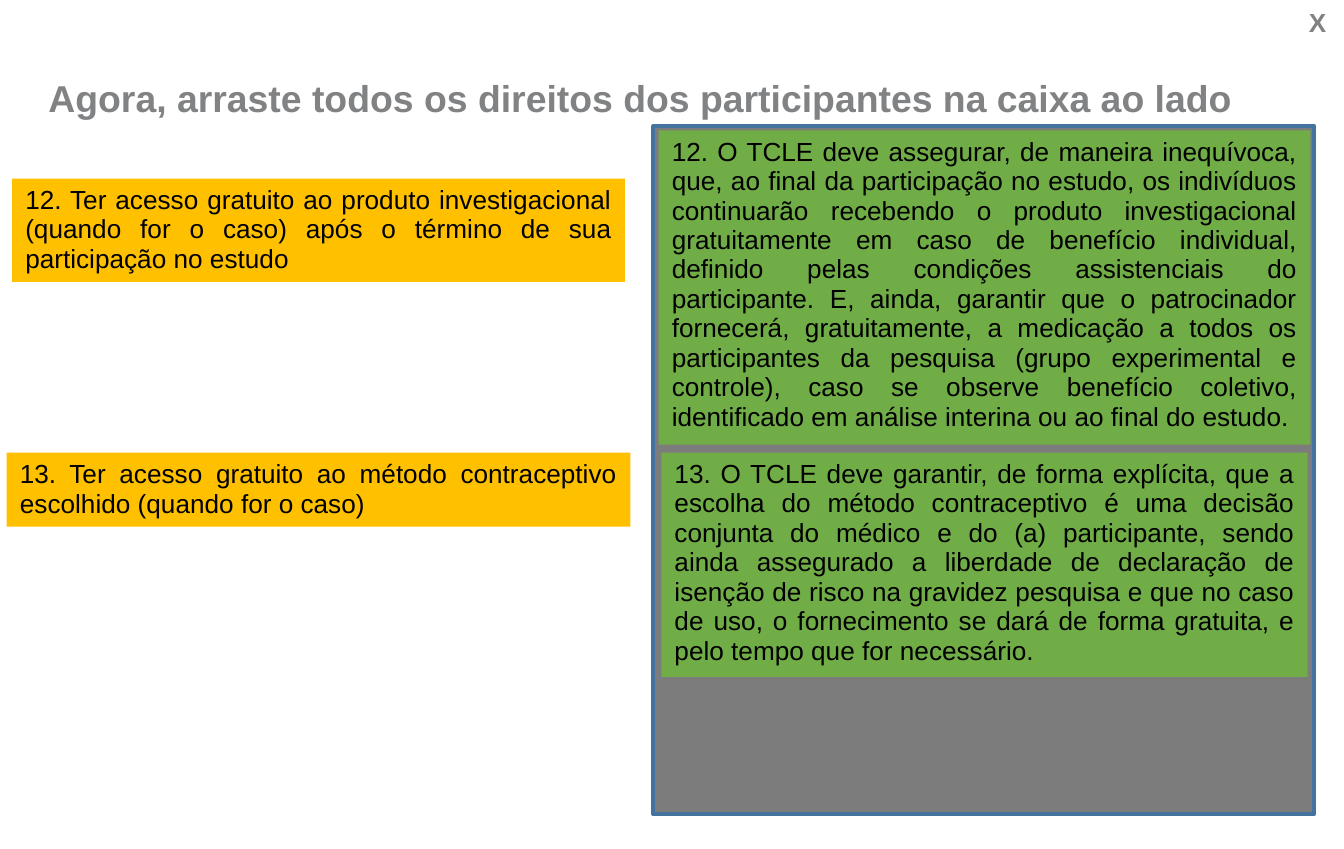
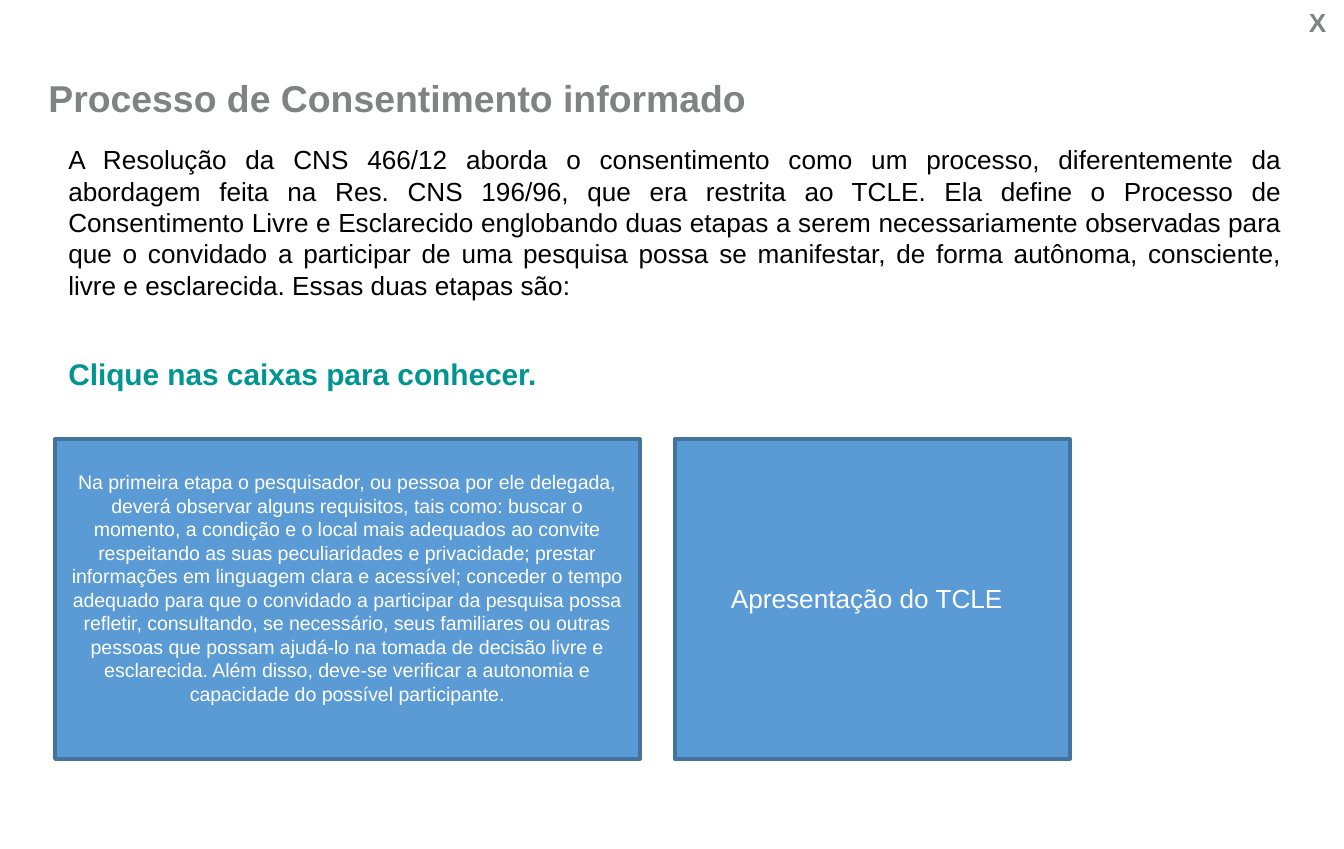
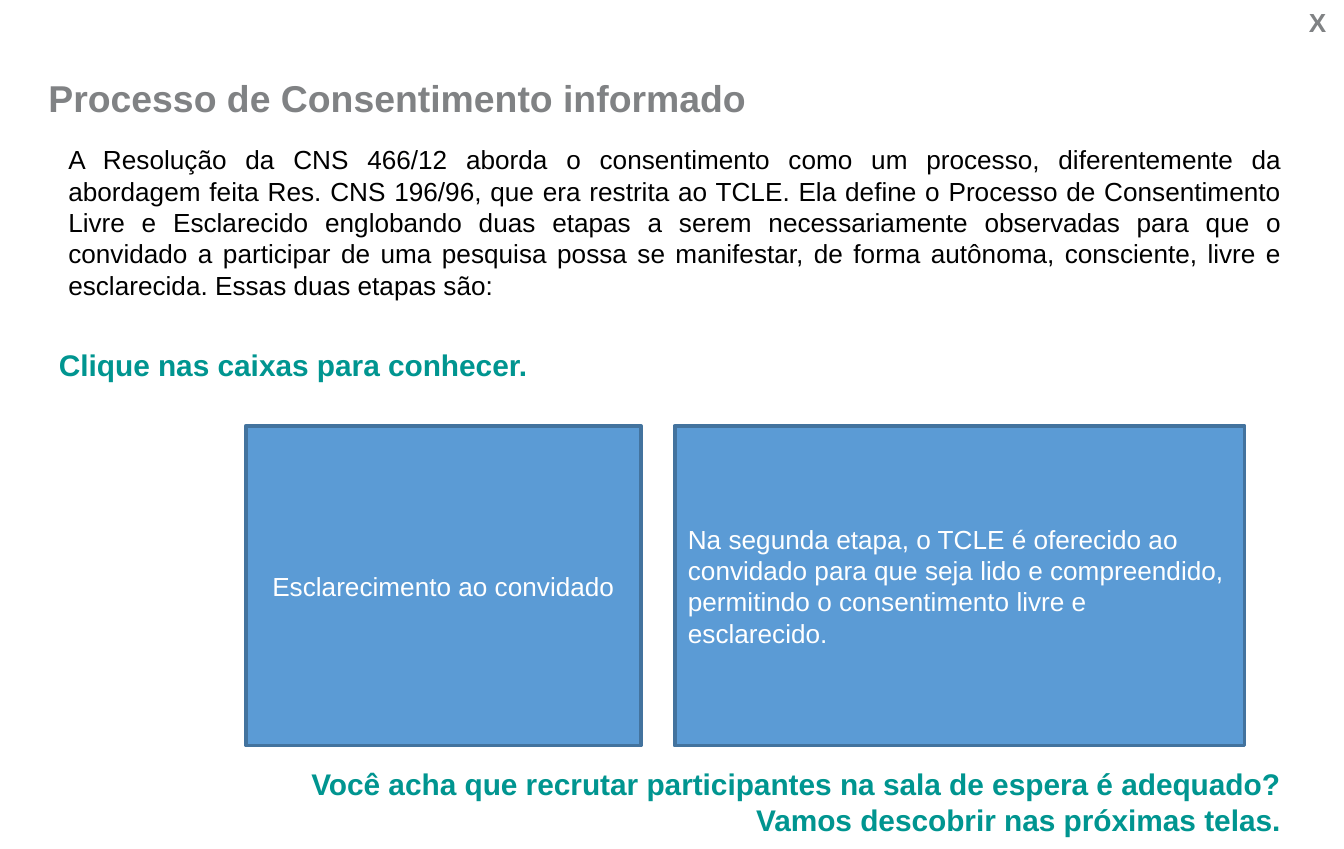
import dataclasses

import pptx
import pptx.dml.color
import pptx.enum.shapes
import pptx.enum.text
import pptx.util

PX = 9144  # EMU in one px, 100 px to the inch
ALIGN = pptx.enum.text.PP_ALIGN
ANCHOR = pptx.enum.text.MSO_ANCHOR
RECT = pptx.enum.shapes.MSO_SHAPE.RECTANGLE


@dataclasses.dataclass(frozen=True)
class Theme:
    font: str = "Arial"
    head: str = "808284"
    teal: str = "009590"
    black: str = "000000"
    white: str = "FFFFFF"
    panel: str = "7C7C7C"
    edge: str = "43739E"
    amber: str = "FFC000"
    green: str = "70AD47"
    blue: str = "5B9BD5"
    title: float = 20
    cue: float = 16
    body: float = 14
    small: float = 10.5


T = Theme()
rgb = pptx.dml.color.RGBColor.from_string


def write(shape, text, size=T.body, color=T.black, bold=False,
          align=ALIGN.LEFT, anchor=ANCHOR.TOP, pitch=None, foot=5):
    """Fill a shape with one paragraph; foot is the bottom inset."""
    frame = shape.text_frame
    frame.word_wrap = True
    frame.auto_size = pptx.enum.text.MSO_AUTO_SIZE.NONE
    frame.vertical_anchor = anchor
    frame.margin_left = frame.margin_right = 10 * PX
    frame.margin_top, frame.margin_bottom = 5 * PX, foot * PX
    par = frame.paragraphs[0]
    par.text = text
    par.alignment = align
    if pitch:
        par.line_spacing = pptx.util.Pt(pitch)
    par.font.name = T.font
    par.font.size = pptx.util.Pt(size)
    par.font.bold = bold
    par.font.color.rgb = rgb(color)


def block(slide, area, fill=None, edge=None):
    """Add a filled rectangle, or a text box when there is no fill."""
    area = [n * PX for n in area]
    if not fill:
        return slide.shapes.add_textbox(*area)
    shape = slide.shapes.add_shape(RECT, *area)
    shape.shadow.inherit = False
    shape.fill.solid()
    shape.fill.fore_color.rgb = rgb(fill)
    if edge:
        shape.line.color.rgb = rgb(edge)
        shape.line.width = pptx.util.Pt(2)
    else:
        shape.line.fill.background()
    return shape


deck = pptx.Presentation()
deck.slide_width, deck.slide_height = 1000 * PX, 632 * PX

# Title and close mark on every slide
slides = []
for title in ("Agora, arraste todos os direitos dos participantes na caixa ao lado",
              "Processo de Consentimento informado",
              "Processo de Consentimento informado"):
    slide = deck.slides.add_slide(deck.slide_layouts[5])
    head = slide.shapes.title
    head.left, head.top, head.width, head.height = [n * PX for n in (26, 17, 938, 77)]
    write(head, title, T.title, T.head, True, anchor=ANCHOR.BOTTOM)
    write(block(slide, (964, 0, 36, 34)), "X", color=T.head, bold=True)
    slides.append(slide)
rights, first, second = slides

# Slide 1: rights on the left, drop panel on the right
block(rights, (486, 94, 492, 512), T.panel, T.edge)
cards = (
    ((9, 133, 456, 77), T.amber,
     "12. Ter acesso gratuito ao produto investigacional (quando for o caso) após o "
     "término de sua participação no estudo"),
    ((490, 97, 485, 234), T.green,
     "12. O TCLE deve assegurar, de maneira inequívoca, que, ao final da participação "
     "no estudo, os indivíduos continuarão recebendo o produto investigacional "
     "gratuitamente em caso de benefício individual, definido pelas condições "
     "assistenciais do participante. E, ainda, garantir que o patrocinador fornecerá, "
     "gratuitamente, a medicação a todos os participantes da pesquisa (grupo "
     "experimental e controle), caso se observe benefício coletivo, identificado em "
     "análise interina ou ao final do estudo."),
    ((5, 337, 464, 55), T.amber,
     "13. Ter acesso gratuito ao método contraceptivo escolhido (quando for o caso)"),
    ((492, 337, 481, 167), T.green,
     "13. O TCLE deve garantir, de forma explícita, que a escolha do método "
     "contraceptivo é uma decisão conjunta do médico e do (a) participante, sendo "
     "ainda assegurado a liberdade de declaração de isenção de risco na gravidez "
     "pesquisa e que no caso de uso, o fornecimento se dará de forma gratuita, e pelo "
     "tempo que for necessário."),
)
for area, fill, text in cards:
    write(block(rights, area, fill), text, align=ALIGN.JUSTIFY, pitch=15.8)

# Slides 2 and 3: shared introduction and cue
intro = ("A Resolução da CNS 466/12 aborda o consentimento como um processo, "
         "diferentemente da abordagem feita {}Res. CNS 196/96, que era restrita ao "
         "TCLE. Ela define o Processo de Consentimento Livre e Esclarecido englobando "
         "duas etapas a serem necessariamente observadas para que o convidado a "
         "participar de uma pesquisa possa se manifestar, de forma autônoma, "
         "consciente, livre e esclarecida. Essas duas etapas são:")
for slide, link, left, top in ((first, "na ", 41, 260), (second, "", 34, 253)):
    write(block(slide, (41, 102, 923, 126)), intro.format(link), align=ALIGN.JUSTIFY)
    write(block(slide, (left, top, 938, 64)), "Clique nas caixas para conhecer.",
          T.cue, T.teal, True)

# Slide 2: first stage open
write(block(first, (41, 327, 435, 238), T.blue, T.edge),
      "Na primeira etapa o pesquisador, ou pessoa por ele delegada, deverá observar "
      "alguns requisitos, tais como: buscar o momento, a condição e o local mais "
      "adequados ao convite respeitando as suas peculiaridades e privacidade; prestar "
      "informações em linguagem clara e acessível; conceder o tempo adequado para que "
      "o convidado a participar da pesquisa possa refletir, consultando, se "
      "necessário, seus familiares ou outras pessoas que possam ajudá-lo na tomada de "
      "decisão livre e esclarecida. Além disso, deve-se verificar a autonomia e "
      "capacidade do possível participante.",
      T.small, T.white, align=ALIGN.CENTER, anchor=ANCHOR.MIDDLE, foot=22)
block(first, (502, 327, 294, 238), T.blue, T.edge)
write(block(first, (534, 430, 230, 33)), "Apresentação do TCLE",
      color=T.white, pitch=15.8)

# Slide 3: second stage open
write(block(second, (183, 317, 294, 238), T.blue, T.edge),
      "Esclarecimento ao convidado", color=T.white,
      align=ALIGN.CENTER, anchor=ANCHOR.MIDDLE)
write(block(second, (502, 317, 424, 238), T.blue, T.edge),
      "Na segunda etapa, o TCLE é oferecido ao convidado para que seja lido e "
      "compreendido, permitindo o consentimento livre e esclarecido.",
      color=T.white, anchor=ANCHOR.MIDDLE)
write(block(second, (147, 565, 816, 64)),
      "Você acha que recrutar participantes na sala de espera é adequado? "
      "Vamos descobrir nas próximas telas.",
      T.cue, T.teal, True, ALIGN.RIGHT)

deck.save("out.pptx")
